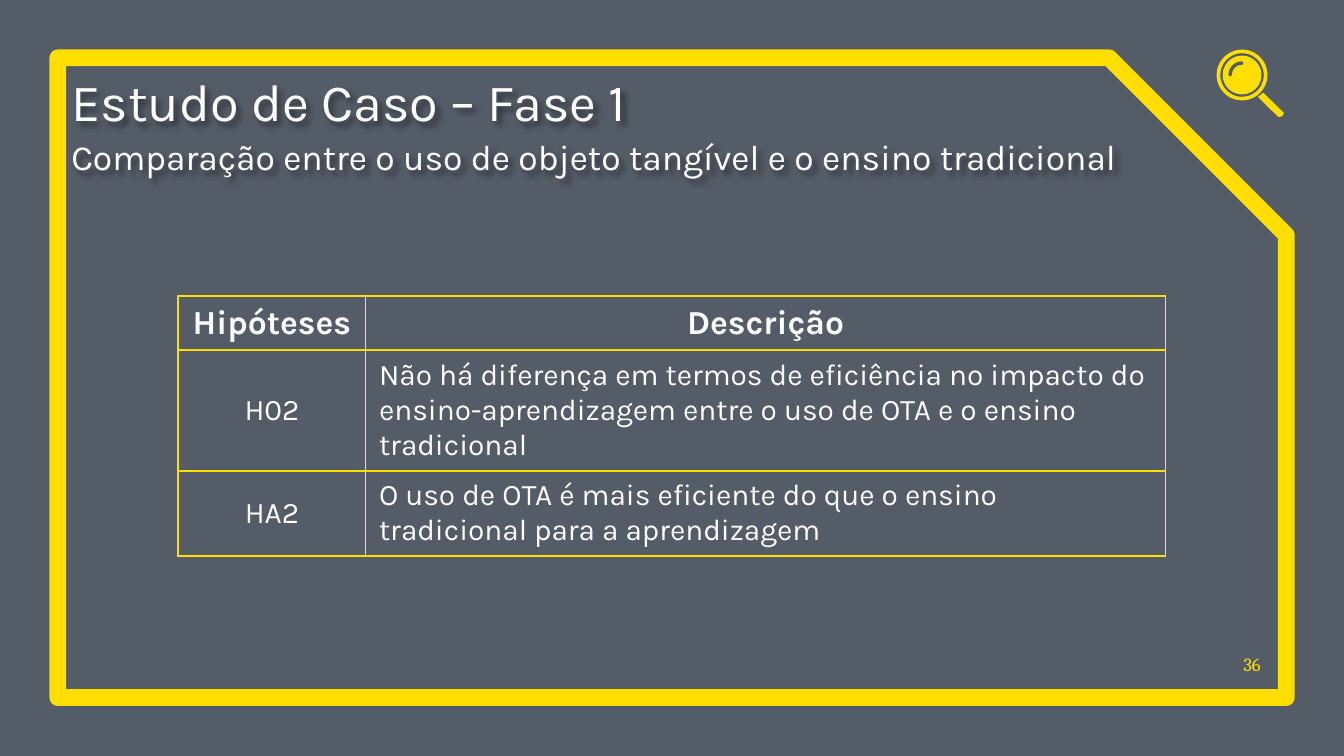
"""Builds the hypotheses slide of the first case study phase."""
from lxml.etree import SubElement
from pptx import Presentation
from pptx.dml.color import RGBColor
from pptx.enum.shapes import MSO_SHAPE
from pptx.enum.text import MSO_ANCHOR, PP_ALIGN
from pptx.oxml import parse_xml
from pptx.oxml.ns import nsdecls, qn
from pptx.util import Pt

COLORS = {"slate": "545C67", "yellow": "FFDE00", "white": "FFFFFF", "pale": "D9D9D9"}

TEXTS = [
    ("Estudo de Caso – Fase 1", (38.2, 32.4, 529.2, 38.2), 28, "Karla", "white", PP_ALIGN.LEFT, True),
    ("Comparação entre o uso de objeto tangível e o ensino tradicional",
     (38.2, 56.2, 624.2, 38.9), 19, "Karla", "white", PP_ALIGN.LEFT, True),
    ("36", (655.9, 341.3, 19.4, 20.2), 10, "Cambria", "yellow", PP_ALIGN.RIGHT, False),
]
HYPOTHESES = [
    ("Hipóteses", "Descrição"),
    ("H02", "Não há diferença em termos de eficiência no impacto do "
            "ensino-aprendizagem entre o uso de OTA e o ensino tradicional"),
    ("HA2", "O uso de OTA é mais eficiente do que o ensino tradicional para a aprendizagem"),
]
TABLE_LEFT, TABLE_TOP = 95.5, 158.6
COLUMN_WIDTHS = (100.4, 428.6)
ROW_HEIGHTS = (28.4, 63.2, 44.4)
LENS_CENTER = (665.4, 40.2)
HANDLE = [(676.8, 49.7), (673.9, 51.9), (684.6, 62.5), (685.8, 62.7), (687.5, 61.6), (687.7, 60.4)]


def rgb(color):
    return RGBColor.from_string(COLORS[color])


def paint(shape, fill=None, line=None, width=0):
    shape.shadow.inherit = False
    if fill:
        shape.fill.solid()
        shape.fill.fore_color.rgb = rgb(fill)
    else:
        shape.fill.background()
    if line:
        shape.line.color.rgb = rgb(line)
        shape.line.width = Pt(width)
    else:
        shape.line.fill.background()


def style(paragraph, size, font, color, align, bold=False):
    paragraph.alignment = align
    paragraph.font.size = Pt(size)
    paragraph.font.name = font
    paragraph.font.bold = bold
    paragraph.font.color.rgb = rgb(color)


def add_text(slide, text, place, size, font, color, align, shadowed):
    box = slide.shapes.add_textbox(*map(Pt, place))
    frame = box.text_frame
    frame.word_wrap = True
    frame.vertical_anchor = MSO_ANCHOR.BOTTOM
    frame.margin_left = frame.margin_right = frame.margin_top = frame.margin_bottom = 0
    frame.text = text
    style(frame.paragraphs[0], size, font, color, align)
    if shadowed:
        box._element.spPr.append(parse_xml(
            f'<a:effectLst {nsdecls("a")}><a:outerShdw blurRad="38100" dist="38100" dir="2700000" '
            'algn="tl"><a:srgbClr val="000000"><a:alpha val="43000"/></a:srgbClr>'
            '</a:outerShdw></a:effectLst>'))


def add_frame(slide):
    border = slide.shapes.add_shape(MSO_SHAPE.SNIP_1_RECTANGLE, Pt(31), Pt(31), Pt(658.1), Pt(342.7))
    border.adjustments[0] = 0.277
    paint(border, line="yellow", width=9)


def add_round(slide, kind, radius):
    x, y = LENS_CENTER
    return slide.shapes.add_shape(kind, Pt(x - radius), Pt(y - radius), Pt(2 * radius), Pt(2 * radius))


def add_magnifier(slide):
    rim = add_round(slide, MSO_SHAPE.DONUT, 13.6)
    rim.adjustments[0] = 0.07
    paint(rim, "yellow")
    paint(add_round(slide, MSO_SHAPE.OVAL, 10.4), "yellow")
    glint = add_round(slide, MSO_SHAPE.ARC, 6.4)
    glint.adjustments[0], glint.adjustments[1] = 108, 162
    paint(glint, line="slate", width=1.8)
    glint.line._get_or_add_ln().set("cap", "rnd")
    points = [(Pt(x), Pt(y)) for x, y in HANDLE]
    builder = slide.shapes.build_freeform(*points[0])
    builder.add_line_segments(points[1:], close=True)
    paint(builder.convert_to_shape(), "yellow")


def set_borders(cell, column):
    side = ("pale", 0.5)
    edges = {"lnL": side if column else ("yellow", 1), "lnR": side,
             "lnT": ("yellow", 1), "lnB": ("yellow", 1)}
    properties = cell._tc.get_or_add_tcPr()
    for edge, (color, width) in edges.items():
        border = SubElement(properties, qn(f"a:{edge}"), w=str(Pt(width)))
        fill = SubElement(border, qn("a:solidFill"))
        SubElement(fill, qn("a:srgbClr"), val=COLORS[color])


def add_hypotheses(slide):
    table = slide.shapes.add_table(
        len(HYPOTHESES), len(COLUMN_WIDTHS), Pt(TABLE_LEFT), Pt(TABLE_TOP),
        Pt(sum(COLUMN_WIDTHS)), Pt(sum(ROW_HEIGHTS))).table
    table.horz_banding = False
    for column, width in zip(table.columns, COLUMN_WIDTHS):
        column.width = Pt(width)
    for r, (height, texts) in enumerate(zip(ROW_HEIGHTS, HYPOTHESES)):
        table.rows[r].height = Pt(height)
        for c, text in enumerate(texts):
            cell = table.cell(r, c)
            cell.text = text
            cell.vertical_anchor = MSO_ANCHOR.MIDDLE
            heading = r == 0
            centered = heading or c == 0
            style(cell.text_frame.paragraphs[0], 18 if heading else 16, "Karla", "white",
                  PP_ALIGN.CENTER if centered else PP_ALIGN.LEFT, heading)
            set_borders(cell, c)
            cell.fill.background()


def main():
    deck = Presentation()
    deck.slide_width, deck.slide_height = Pt(720), Pt(405)
    slide = deck.slides.add_slide(deck.slide_layouts[6])
    slide.background.fill.solid()
    slide.background.fill.fore_color.rgb = rgb("slate")
    add_frame(slide)
    for text in TEXTS:
        add_text(slide, *text)
    add_magnifier(slide)
    add_hypotheses(slide)
    deck.save("out.pptx")


if __name__ == "__main__":
    main()
